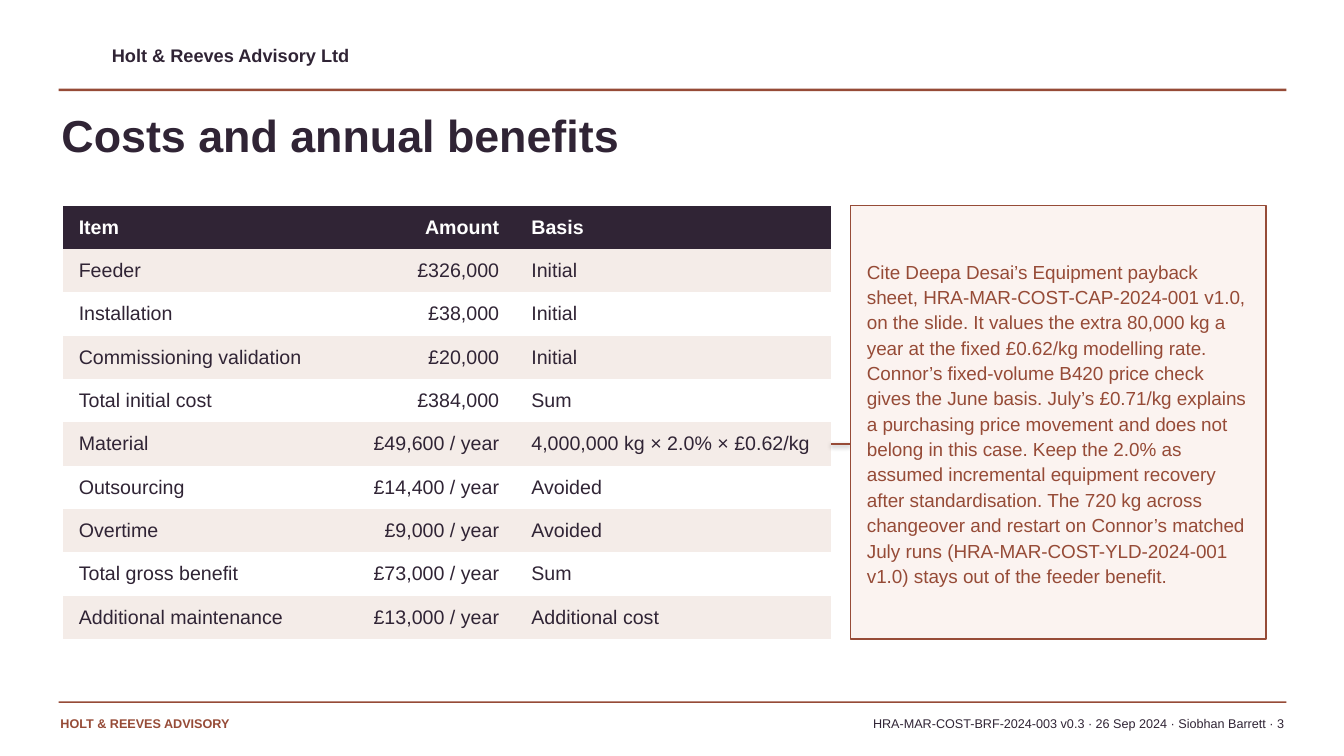
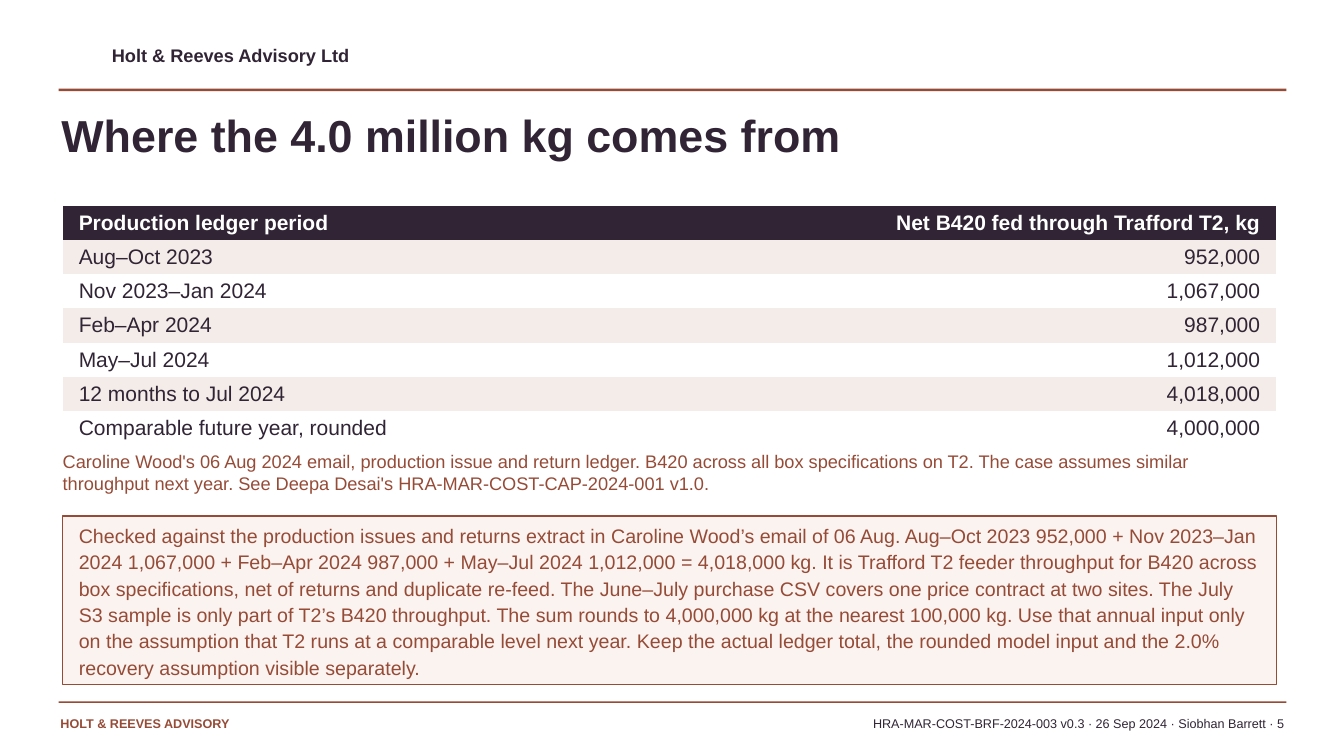
from pptx import Presentation
from pptx.dml.color import RGBColor
from pptx.enum.shapes import MSO_CONNECTOR as LINK, MSO_SHAPE as SHAPE
from pptx.enum.text import MSO_ANCHOR as ANCHOR, MSO_AUTO_SIZE as FIT, PP_ALIGN as ALIGN
from pptx.oxml.ns import qn
from pptx.util import Pt

FONT = "Arial"
INK, RUST, WHITE = "302435", "964B37", "FFFFFF"
BAND, TINT = "F4ECE8", "FBF3F0"
LEFT, TOP = 44.8, 146.9
PAD = 11.5
PLAIN = "{2D5ABB26-0587-4C30-8999-92F81FD0307C}"

COSTS = [
    ("Item", "Amount", "Basis"),
    ("Feeder", "£326,000", "Initial"),
    ("Installation", "£38,000", "Initial"),
    ("Commissioning validation", "£20,000", "Initial"),
    ("Total initial cost", "£384,000", "Sum"),
    ("Material", "£49,600 / year", "4,000,000 kg × 2.0% × £0.62/kg"),
    ("Outsourcing", "£14,400 / year", "Avoided"),
    ("Overtime", "£9,000 / year", "Avoided"),
    ("Total gross benefit", "£73,000 / year", "Sum"),
    ("Additional maintenance", "£13,000 / year", "Additional cost"),
]
LEDGER = [
    ("Production ledger period", "Net B420 fed through Trafford T2, kg"),
    ("Aug–Oct 2023", "952,000"),
    ("Nov 2023–Jan 2024", "1,067,000"),
    ("Feb–Apr 2024", "987,000"),
    ("May–Jul 2024", "1,012,000"),
    ("12 months to Jul 2024", "4,018,000"),
    ("Comparable future year, rounded", "4,000,000"),
]
CITE = (
    "Cite Deepa Desai’s Equipment payback sheet, HRA-MAR-COST-CAP-2024-001 v1.0, "
    "on the slide. It values the extra 80,000 kg a year at the fixed £0.62/kg "
    "modelling rate. Connor’s fixed-volume B420 price check gives the June basis. "
    "July’s £0.71/kg explains a purchasing price movement and does not belong in "
    "this case. Keep the 2.0% as assumed incremental equipment recovery after "
    "standardisation. The 720 kg across changeover and restart on Connor’s matched "
    "July runs (HRA-MAR-COST-YLD-2024-001 v1.0) stays out of the feeder benefit."
)
SOURCE = (
    "Caroline Wood's 06 Aug 2024 email, production issue and return ledger. B420 "
    "across all box specifications on T2. The case assumes similar throughput next "
    "year. See Deepa Desai's HRA-MAR-COST-CAP-2024-001 v1.0."
)
CHECK = (
    "Checked against the production issues and returns extract in Caroline Wood’s "
    "email of 06 Aug. Aug–Oct 2023 952,000 + Nov 2023–Jan 2024 1,067,000 + Feb–Apr "
    "2024 987,000 + May–Jul 2024 1,012,000 = 4,018,000 kg. It is Trafford T2 feeder "
    "throughput for B420 across box specifications, net of returns and duplicate "
    "re-feed. The June–July purchase CSV covers one price contract at two sites. The "
    "July S3 sample is only part of T2’s B420 throughput. The sum rounds to 4,000,000 "
    "kg at the nearest 100,000 kg. Use that annual input only on the assumption that "
    "T2 runs at a comparable level next year. Keep the actual ledger total, the "
    "rounded model input and the 2.0% recovery assumption visible separately."
)


def paint(part, color):
    if hasattr(part, "solid"):
        part.solid()
        part = part.fore_color
    part.rgb = RGBColor.from_string(color)


def pad(box, side, end):
    box.margin_left = box.margin_right = Pt(side)
    box.margin_top = box.margin_bottom = Pt(end)


def write(frame, text, size=13, color=INK, bold=False, align=ALIGN.LEFT, lead=None):
    frame.text = text
    para = frame.paragraphs[0]
    para.alignment = align
    if lead:
        para.line_spacing = lead
    font = para.runs[0].font
    font.name, font.size, font.bold = FONT, Pt(size), bold
    paint(font.color, color)


def label(slide, spot, text, **style):
    box = slide.shapes.add_textbox(*map(Pt, spot))
    frame = box.text_frame
    frame.word_wrap = True
    pad(frame, 0, 0)
    write(frame, text, **style)
    return box


def block(slide, spot, fill):
    shape = slide.shapes.add_shape(SHAPE.RECTANGLE, *map(Pt, spot))
    shape.shadow.inherit = False
    paint(shape.fill, fill)
    shape.line.fill.background()
    return shape


def note(slide, spot, text, size):
    shape = block(slide, spot, TINT)
    paint(shape.line.fill, RUST)
    shape.line.width = Pt(0.85)
    frame = shape.text_frame
    frame.word_wrap = True
    frame.vertical_anchor = ANCHOR.MIDDLE
    pad(frame, PAD, 9.4)
    write(frame, text, size=size, color=RUST, lead=1.12)


def grid(slide, rows, widths, high, size):
    spot = (LEFT, TOP, sum(widths), high * len(rows))
    shape = slide.shapes.add_table(len(rows), len(widths), *map(Pt, spot))
    for style in shape.element.iter(qn("a:tableStyleId")):
        style.text = PLAIN
    table = shape.table
    table.horz_banding = False
    for col, wide in zip(table.columns, widths):
        col.width = Pt(wide)
    for r, row in enumerate(rows):
        table.rows[r].height = Pt(high)
        head = r == 0
        fill = INK if head else BAND if r % 2 else WHITE
        for c, text in enumerate(row):
            cell = table.cell(r, c)
            paint(cell.fill, fill)
            cell.vertical_anchor = ANCHOR.MIDDLE
            pad(cell, PAD, 2.2)
            write(cell.text_frame, text, size=size, bold=head,
                  color=WHITE if head else INK,
                  align=ALIGN.RIGHT if c == 1 else ALIGN.LEFT)


def brand(slide):
    parts = [
        label(slide, (79.9, 31.7, 432, 19.4), "Holt & Reeves Advisory Ltd", bold=True),
        block(slide, (41.8, 63.4, 877, 1.7), RUST),
        block(slide, (41.8, 501, 877, 1.1), RUST),
        label(slide, (43.2, 511.2, 244.8, 18), "HOLT & REEVES ADVISORY",
              size=9, color=RUST, bold=True),
    ]
    tree = slide.slide_layout.shapes.element
    for part in parts:
        tree.append(part.element)


def page(deck, title, number):
    slide = deck.slides.add_slide(deck.slide_layouts[5])
    head = slide.shapes.title
    head.left, head.top, head.width, head.height = map(Pt, (43.9, 77, 864, 56.2))
    frame = head.text_frame
    frame.word_wrap = True
    frame.auto_size = FIT.NONE
    frame.vertical_anchor = ANCHOR.TOP
    pad(frame, 0, 0)
    write(frame, title, size=32, bold=True)
    label(slide, (296.6, 511.2, 620.6, 15.8),
          f"HRA-MAR-COST-BRF-2024-003 v0.3 · 26 Sep 2024 · Siobhan Barrett · {number}",
          size=9, align=ALIGN.RIGHT)
    return slide


def costs(deck):
    slide = page(deck, "Costs and annual benefits", 3)
    widths, high, gap = (194.4, 128.9, 225.4), 30.96, 14.2
    grid(slide, COSTS, widths, high, 14)
    edge = LEFT + sum(widths)
    mid = TOP + 5.5 * high
    link = slide.shapes.add_connector(
        LINK.STRAIGHT, *map(Pt, (edge, mid, edge + gap, mid)))
    paint(link.line.fill, RUST)
    link.line.width = Pt(1.2)
    note(slide, (edge + gap, TOP, 296.6, high * len(COSTS)), CITE, 13.5)
    return slide


def ledger(deck):
    slide = page(deck, "Where the 4.0 million kg comes from", 5)
    half = 433.4
    grid(slide, LEDGER, (half, half), 24.48, 15)
    label(slide, (LEFT, 321.8, 860.4, 37.4), SOURCE, color=RUST)
    note(slide, (LEFT, 368.6, 2 * half, 120.2), CHECK, 14)


def main():
    deck = Presentation()
    deck.slide_width, deck.slide_height = Pt(960), Pt(540)
    brand(costs(deck))
    ledger(deck)
    deck.save("out.pptx")


if __name__ == "__main__":
    main()
